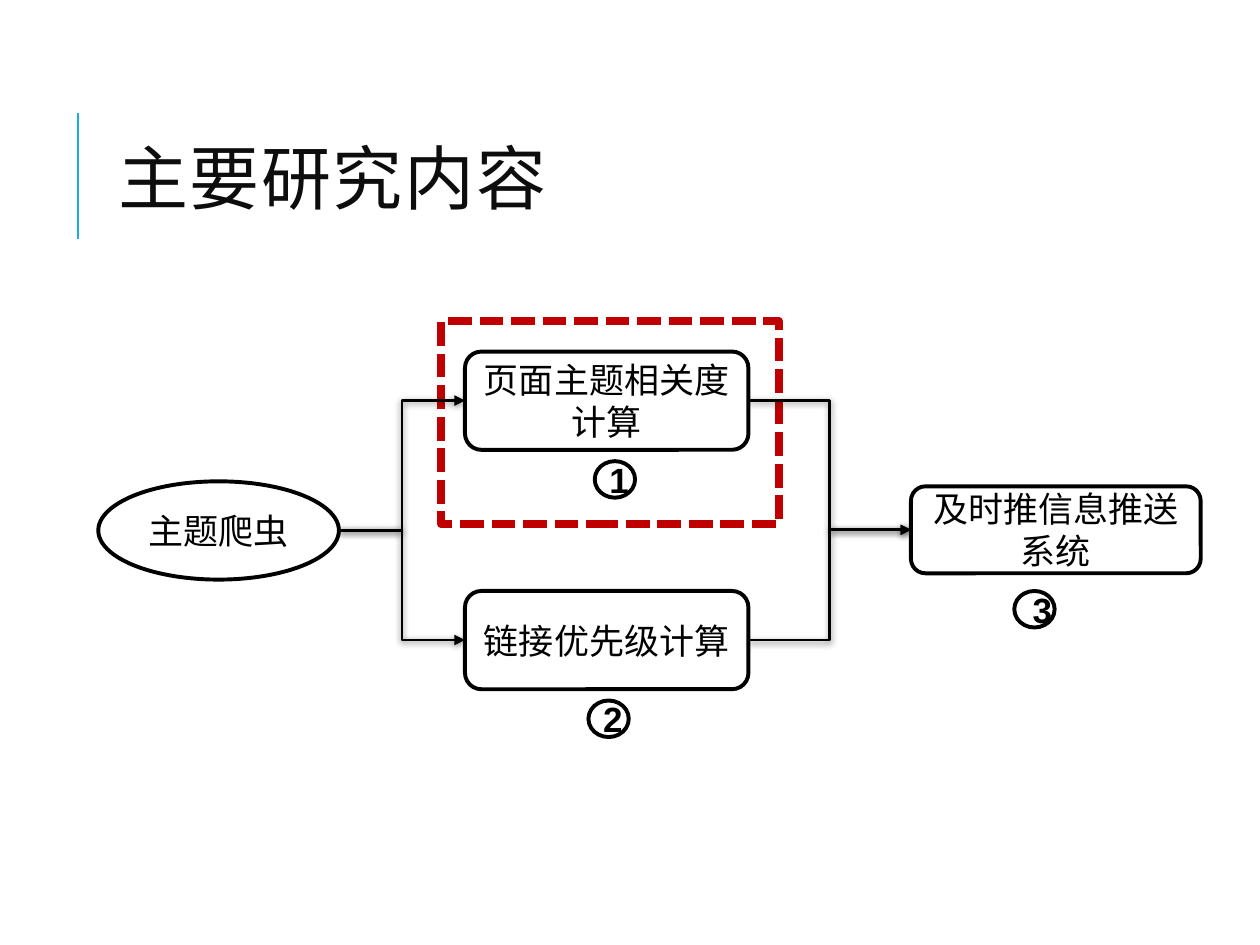
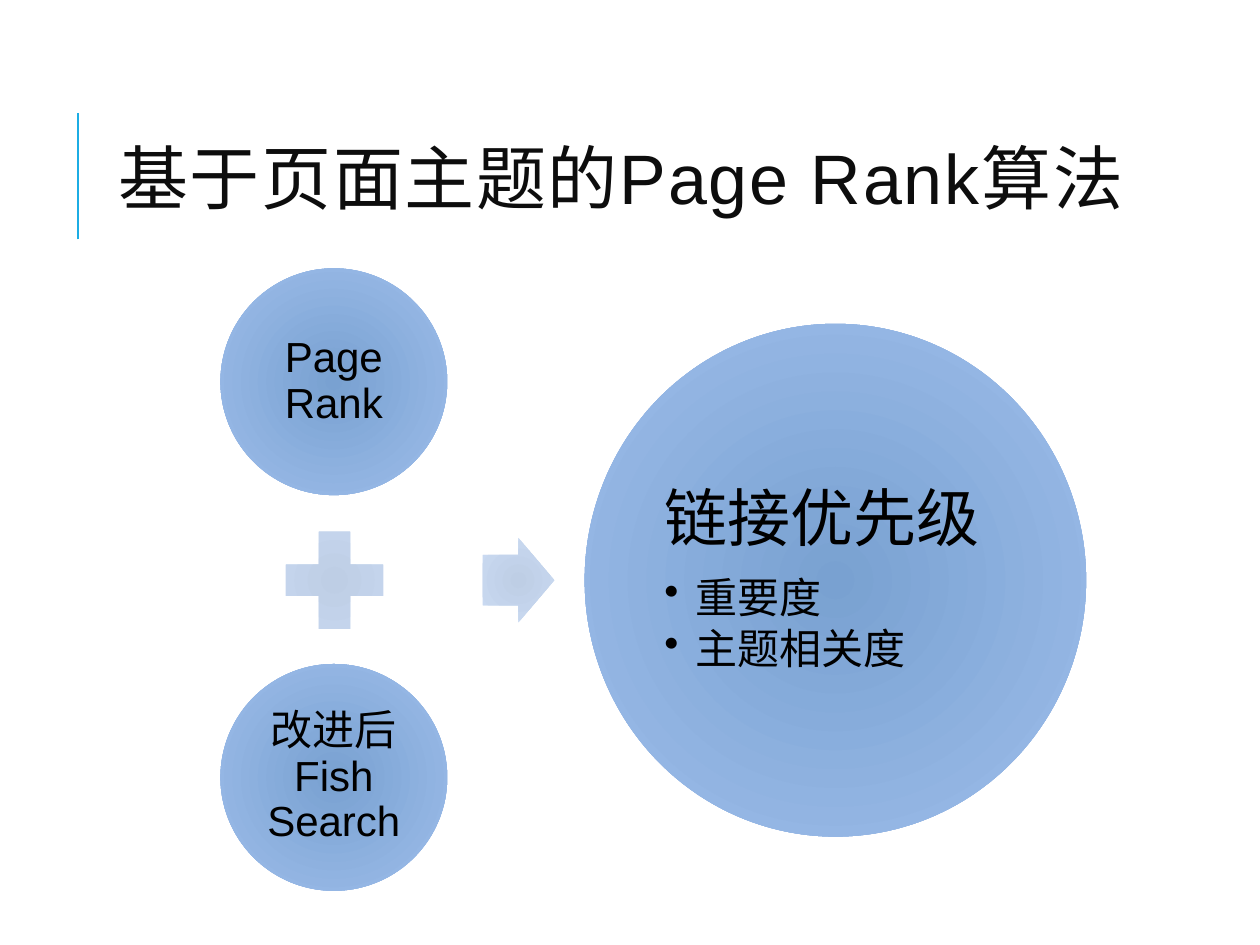
"""Build two slides: a research flow diagram and an equation of circles."""
from typing import NamedTuple

from lxml.etree import SubElement
from pptx import Presentation
from pptx.dml.color import RGBColor
from pptx.enum.dml import MSO_LINE
from pptx.enum.shapes import MSO_CONNECTOR, MSO_SHAPE
from pptx.enum.text import MSO_ANCHOR, PP_ALIGN
from pptx.oxml import parse_xml
from pptx.oxml.ns import nsdecls, qn
from pptx.util import Inches, Pt

COLUMNS, ROWS = 100, 75
CELL = Inches(0.1)
BLACK, WHITE, INK, ACCENT, RED = "000000", "FFFFFF", "0D0D0D", "1CADE4", "C00000"
BODY_FONT, TITLE_FONT = "Arial", "Montserrat"
DISC_BLUE = ("79A1D1", "9EBEEB")
SIGN_BLUE = ("BECEE5", "CBDBF3")


class Box(NamedTuple):
    """Place and size in grid columns and rows."""
    x: float
    y: float
    w: float
    h: float

    @property
    def mid(self) -> float:
        return self.y + self.h / 2

    @property
    def right(self) -> float:
        return self.x + self.w


class Node(NamedTuple):
    """One outlined step of the flow diagram."""
    box: Box
    text: str
    kind: MSO_SHAPE = MSO_SHAPE.ROUNDED_RECTANGLE
    fill: str = WHITE


class Badge(NamedTuple):
    """A numbered ring under a step."""
    x: float
    y: float
    number: str
    inset: tuple[float, float] = (0.7, 0.4)


class Line(NamedTuple):
    """One paragraph inside a disc."""
    text: str
    size: float = 24
    after: float = 8.4
    bullet: bool = False


class Disc(NamedTuple):
    """A gradient circle with its paragraphs."""
    box: Box
    lines: list[Line]
    inset: float
    align: PP_ALIGN


def cells(*counts: float) -> list[int]:
    return [round(n * CELL) for n in counts]


def color(value: str) -> RGBColor:
    return RGBColor.from_string(value)


def set_font(font, size: float, name: str = BODY_FONT, ink: str = BLACK, bold: bool = False) -> None:
    font.size, font.name, font.bold = Pt(size), name, bold
    font.color.rgb = color(ink)


def set_insets(tf, across: float, down: float) -> None:
    tf.margin_left = tf.margin_right = cells(across)[0]
    tf.margin_top = tf.margin_bottom = cells(down)[0]


def add_shape(slide, kind: MSO_SHAPE, box: Box):
    sp = slide.shapes.add_shape(kind, *cells(*box))
    sp.shadow.inherit = False
    return sp


def outline(sp, ink: str, width: float, fill: str = "") -> None:
    sp.line.color.rgb, sp.line.width = color(ink), Pt(width)
    if fill:
        sp.fill.solid()
        sp.fill.fore_color.rgb = color(fill)
    else:
        sp.fill.background()


def radial(sp, stops: tuple[str, str]) -> None:
    sp.line.fill.background()
    marks = "".join(f'<a:gs pos="{pos}"><a:srgbClr val="{ink}"/></a:gs>'
                    for pos, ink in zip((0, 100000), stops))
    sp._element.spPr.insert(2, parse_xml(
        f'<a:gradFill {nsdecls("a")} rotWithShape="1"><a:gsLst>{marks}</a:gsLst>'
        '<a:path path="circle"><a:fillToRect l="100000" t="100000" r="100000" b="100000"/>'
        '</a:path></a:gradFill>'))


def label(sp, text: str, bold: bool = False) -> None:
    tf = sp.text_frame
    tf.vertical_anchor = MSO_ANCHOR.MIDDLE
    p = tf.paragraphs[0]
    p.text, p.alignment = text, PP_ALIGN.CENTER
    set_font(p.font, 20, bold=bold)


def add_line(slide, kind: MSO_CONNECTOR, start: tuple, end: tuple, ink: str):
    line = slide.shapes.add_connector(kind, *cells(*start, *end))
    line.line.color.rgb, line.line.width = color(ink), Pt(1.5)
    effects = SubElement(line._element.spPr, qn("a:effectLst"))
    return line, effects


def link(slide, source: Box, target: Box) -> None:
    line, effects = add_line(slide, MSO_CONNECTOR.ELBOW, (source.right, source.mid),
                             (target.x, target.mid), BLACK)
    SubElement(line.line._get_or_add_ln(), qn("a:tailEnd"), type="triangle")
    effects.append(parse_xml(
        f'<a:outerShdw {nsdecls("a")} blurRad="{Pt(4)}" dist="{Pt(1)}" dir="5400000" '
        'rotWithShape="0"><a:srgbClr val="000000"><a:alpha val="50000"/></a:srgbClr>'
        '</a:outerShdw>'))


def add_node(slide, node: Node) -> None:
    sp = add_shape(slide, node.kind, node.box)
    outline(sp, BLACK, 2.25, node.fill)
    label(sp, node.text)


def add_badge(slide, badge: Badge) -> None:
    sp = add_shape(slide, MSO_SHAPE.OVAL, Box(badge.x, badge.y, 3.2, 2.9))
    outline(sp, BLACK, 2.25)
    label(sp, badge.number, bold=True)
    set_insets(sp.text_frame, *badge.inset)


def add_disc(slide, disc: Disc) -> None:
    sp = add_shape(slide, MSO_SHAPE.OVAL, disc.box)
    radial(sp, DISC_BLUE)
    tf = sp.text_frame
    tf.vertical_anchor = MSO_ANCHOR.MIDDLE
    set_insets(tf, disc.inset, disc.inset)
    for i, line in enumerate(disc.lines):
        p = tf.add_paragraph() if i else tf.paragraphs[0]
        p.text, p.alignment = line.text, disc.align
        p.line_spacing, p.space_after = 0.9, Pt(line.after)
        set_font(p.font, line.size)
        if line.bullet:
            p.level = 1
            pPr = p._p.get_or_add_pPr()
            pPr.set("marL", str(Inches(0.25)))
            pPr.set("indent", str(Inches(-0.25)))
            bullet = parse_xml(f'<a:buChar {nsdecls("a")} char="•"/>')
            pPr.insert_element_before(bullet, "a:tabLst", "a:defRPr", "a:extLst")


def add_titled_slide(prs, width: float, *parts: tuple[str, str]):
    slide = prs.slides.add_slide(prs.slide_layouts[6])
    add_line(slide, MSO_CONNECTOR.STRAIGHT, (6.2, 19), (6.2, 9), ACCENT)
    tf = slide.shapes.add_textbox(*cells(8.4, 6.4, width, 16.4)).text_frame
    tf.word_wrap, tf.vertical_anchor = True, MSO_ANCHOR.MIDDLE
    p = tf.paragraphs[0]
    p.line_spacing = 0.8
    for text, name in parts:
        r = p.add_run()
        r.text = text
        set_font(r.font, 40, name, INK)
        r._r.get_or_add_rPr().set("spc", "100")
    return slide


def build_flow(prs) -> None:
    slide = add_titled_slide(prs, 79.7, ("主要研究内容", TITLE_FONT))
    crawler = Node(Box(7.8, 38.2, 19.1, 7.8), "主题爬虫", MSO_SHAPE.OVAL)
    relevance = Node(Box(36.9, 27.9, 22.5, 7.8), "页面主题相关度计算")
    priority = Node(Box(36.9, 46.9, 22.5, 7.8), "链接优先级计算", fill="")
    push = Node(Box(72.3, 38.6, 23, 6.9), "及时推信息推送系统")

    focus = add_shape(slide, MSO_SHAPE.RECTANGLE, Box(35, 25.5, 26.8, 16.1))
    outline(focus, RED, 4.5)
    focus.line.dash_style = MSO_LINE.SQUARE_DOT
    for step in (priority, relevance):
        link(slide, crawler.box, step.box)
        link(slide, step.box, push.box)
    for node in (crawler, relevance, priority, push):
        add_node(slide, node)
    for badge in (Badge(47.2, 36.6, "1"), Badge(46.7, 55.6, "2"),
                  Badge(80.5, 46.9, "3", (1, 0.5))):
        add_badge(slide, badge)


def build_equation(prs) -> None:
    slide = add_titled_slide(prs, 88.5, ("基于页面主题的", TITLE_FONT),
                             ("Page Rank", BODY_FONT), ("算法", TITLE_FONT))
    terms = ("Page Rank", "改进后Fish Search")
    discs = [Disc(Box(17.5, 21.3 + 31.4 * i, 18, 18), [Line(text)], 0.3, PP_ALIGN.CENTER)
             for i, text in enumerate(terms)]
    result = [Line("链接优先级", 36, 12.6)]
    result += [Line(text, 24, 3.6, True) for text in ("重要度", "主题相关度")]
    discs.append(Disc(Box(46.4, 25.7, 39.8, 40.7), result, 0.5, PP_ALIGN.LEFT))
    for disc in discs:
        add_disc(slide, disc)

    plus = add_shape(slide, MSO_SHAPE.MATH_PLUS, Box(21.3, 40.8, 10.5, 10.5))
    arrow = add_shape(slide, MSO_SHAPE.RIGHT_ARROW, Box(38.3, 42.7, 5.7, 6.7))
    arrow.adjustments[0] = 0.6
    for sign in (plus, arrow):
        radial(sign, SIGN_BLUE)


def main() -> None:
    prs = Presentation()
    prs.slide_width, prs.slide_height = cells(COLUMNS, ROWS)
    build_flow(prs)
    build_equation(prs)
    prs.save("out.pptx")


if __name__ == "__main__":
    main()
